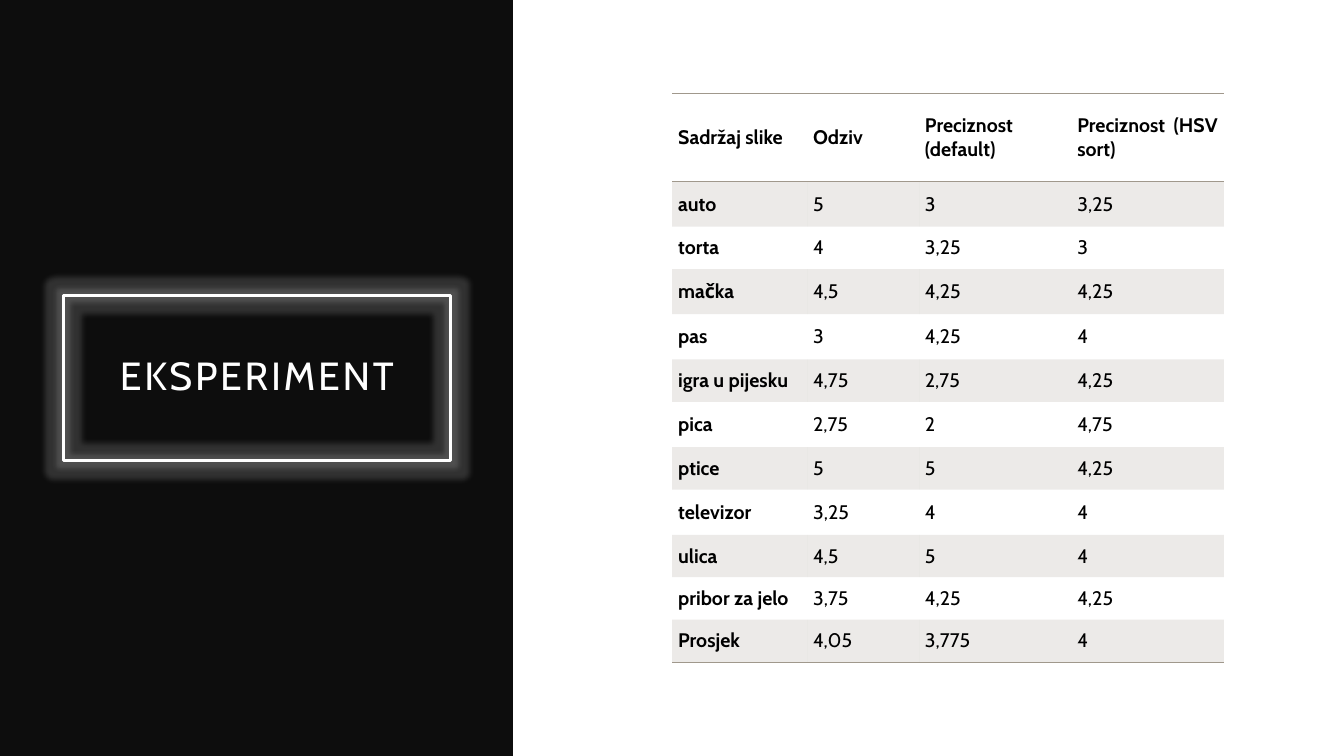
from dataclasses import dataclass

from lxml.etree import SubElement
from pptx import Presentation
from pptx.dml.color import RGBColor
from pptx.enum.shapes import MSO_SHAPE
from pptx.enum.text import MSO_ANCHOR, PP_ALIGN
from pptx.oxml import parse_xml
from pptx.oxml.ns import nsdecls, qn
from pptx.util import Cm, Pt


@dataclass(frozen=True)
class Theme:
    font: str = "Cabin"
    dark: str = "0D0D0D"
    light: str = "FFFFFF"
    text: str = "000000"
    accent: str = "A0988C"
    title_size: int = 28
    table_size: int = 14


theme = Theme()

HEADER = ["Sadržaj slike", "Odziv", "Preciznost (default)", "Preciznost (HSV sort)"]
RESULTS = [
    ["auto", "5", "3", "3,25"],
    ["torta", "4", "3,25", "3"],
    ["mačka", "4,5", "4,25", "4,25"],
    ["pas", "3", "4,25", "4"],
    ["igra u pijesku", "4,75", "2,75", "4,25"],
    ["pica", "2,75", "2", "4,75"],
    ["ptice", "5", "5", "4,25"],
    ["televizor", "3,25", "4", "4"],
    ["ulica", "4,5", "5", "4"],
    ["pribor za jelo", "3,75", "4,25", "4,25"],
    ["Prosjek", "4,05", "3,775", "4"],
]
COLUMN_WIDTHS = [3.4, 2.82, 3.84, 3.84]
ROW_HEIGHTS = [2.21, 1.14, 1.07, 1.14, 1.14, 1.07, 1.14, 1.07, 1.14, 1.07, 1.07, 1.07]
NO_STYLE = "{2D5ABB26-0587-4C30-8999-92F81FD0307C}"


def style_span(span, size, color, bold=False):
    span.font.name = theme.font
    span.font.size = Pt(size)
    span.font.bold = bold
    span.font.color.rgb = RGBColor.from_string(color)


def add_border(cell, tag):
    """Draw one horizontal edge; tag is lnT or lnB, and lnT must be added last."""
    cell._tc.get_or_add_tcPr().insert(0, parse_xml(
        f'<a:{tag} {nsdecls("a")} w="12700"><a:solidFill>'
        f'<a:srgbClr val="{theme.accent}"/></a:solidFill></a:{tag}>'))


deck = Presentation()
deck.slide_width, deck.slide_height = Cm(33.87), Cm(19.05)
page = deck.slides.add_slide(deck.slide_layouts[6])

# Dark side panel
panel = page.shapes.add_shape(MSO_SHAPE.RECTANGLE, 0, 0, Cm(12.93), deck.slide_height)
panel.shadow.inherit = False
panel.fill.solid()
panel.fill.fore_color.rgb = RGBColor.from_string(theme.dark)
panel.line.fill.background()

# Framed title with a soft glow
title = page.shapes.add_shape(MSO_SHAPE.RECTANGLE, Cm(1.6), Cm(7.45), Cm(9.75), Cm(4.16))
title.shadow.inherit = False
title.fill.background()
title.line.color.rgb = RGBColor.from_string(theme.light)
title.line.width = Pt(2.5)
effects = title._element.spPr.find(qn("a:effectLst"))
glow = SubElement(effects, qn("a:glow"), rad="101600")
glow_color = SubElement(glow, qn("a:srgbClr"), val=theme.light)
SubElement(glow_color, qn("a:alpha"), val="15000")

frame = title.text_frame
frame.text = "EKSPERIMENT"
frame.word_wrap = True
frame.vertical_anchor = MSO_ANCHOR.MIDDLE
frame.margin_left = frame.margin_right = frame.margin_top = frame.margin_bottom = Cm(0.51)
para = frame.paragraphs[0]
para.alignment = PP_ALIGN.CENTER
para.line_spacing = 0.9
style_span(para.runs[0], theme.title_size, theme.light)
para.runs[0].font._element.set("spc", "200")

# Results table
rows = [HEADER] + RESULTS
table = page.shapes.add_table(
    len(rows), len(HEADER), Cm(16.94), Cm(2.36),
    Cm(sum(COLUMN_WIDTHS)), Cm(sum(ROW_HEIGHTS))).table
table.first_row = table.horz_banding = False
table._tbl.tblPr.find(qn("a:tableStyleId")).text = NO_STYLE
for column, width in zip(table.columns, COLUMN_WIDTHS):
    column.width = Cm(width)
for row, height in zip(table.rows, ROW_HEIGHTS):
    row.height = Cm(height)

for row_index, values in enumerate(rows):
    for column_index, value in enumerate(values):
        cell = table.cell(row_index, column_index)
        cell.text_frame.text = value
        cell.vertical_anchor = MSO_ANCHOR.MIDDLE
        cell.margin_left = cell.margin_right = Cm(0.15)
        cell.margin_top = cell.margin_bottom = 0
        para = cell.text_frame.paragraphs[0]
        para.alignment = PP_ALIGN.JUSTIFY
        is_bold = row_index == 0 or column_index == 0
        style_span(para.runs[0], theme.table_size, theme.text, is_bold)

        if row_index % 2:
            cell.fill.solid()
            cell.fill.fore_color.rgb = RGBColor.from_string(theme.accent)
            band_color = cell._tc.tcPr.find(qn("a:solidFill"))[0]
            SubElement(band_color, qn("a:alpha"), val="20000")
        else:
            cell.fill.background()
        if row_index in (0, len(rows) - 1):
            add_border(cell, "lnB")
        if row_index == 0:
            add_border(cell, "lnT")

deck.save("out.pptx")
